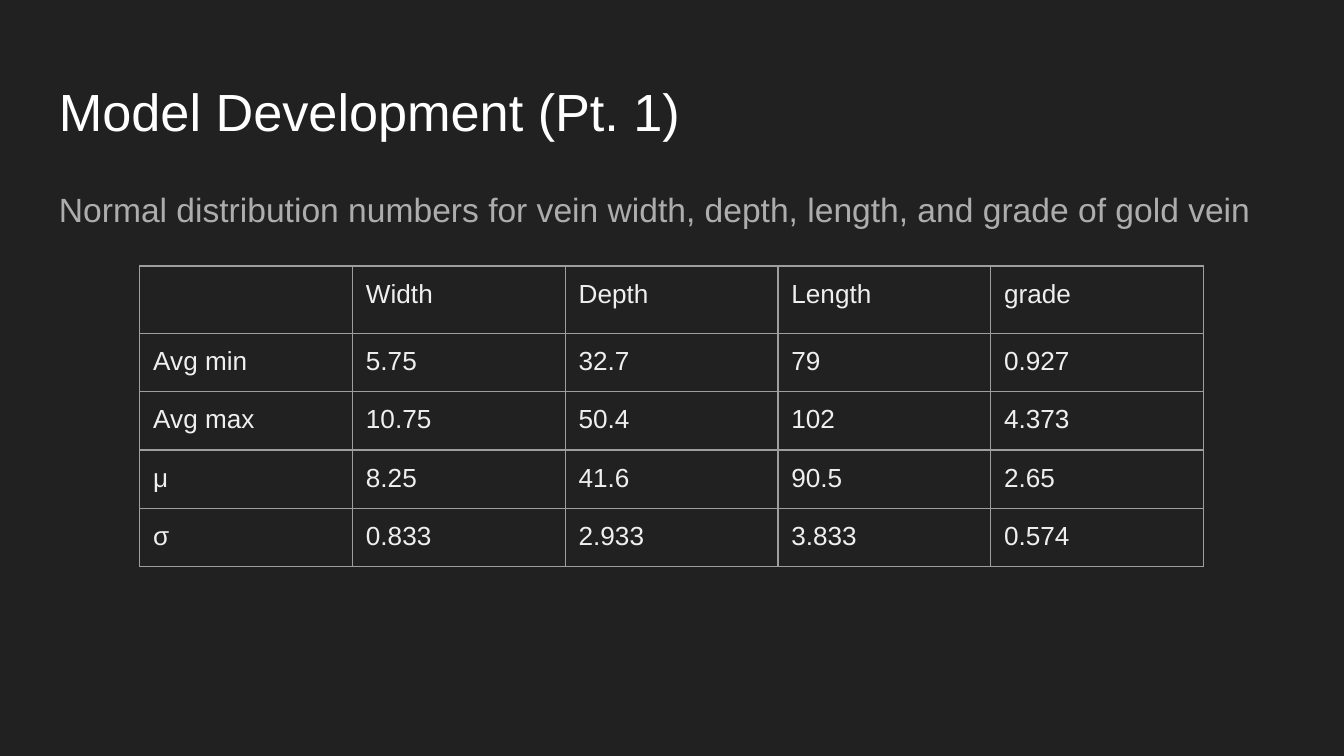
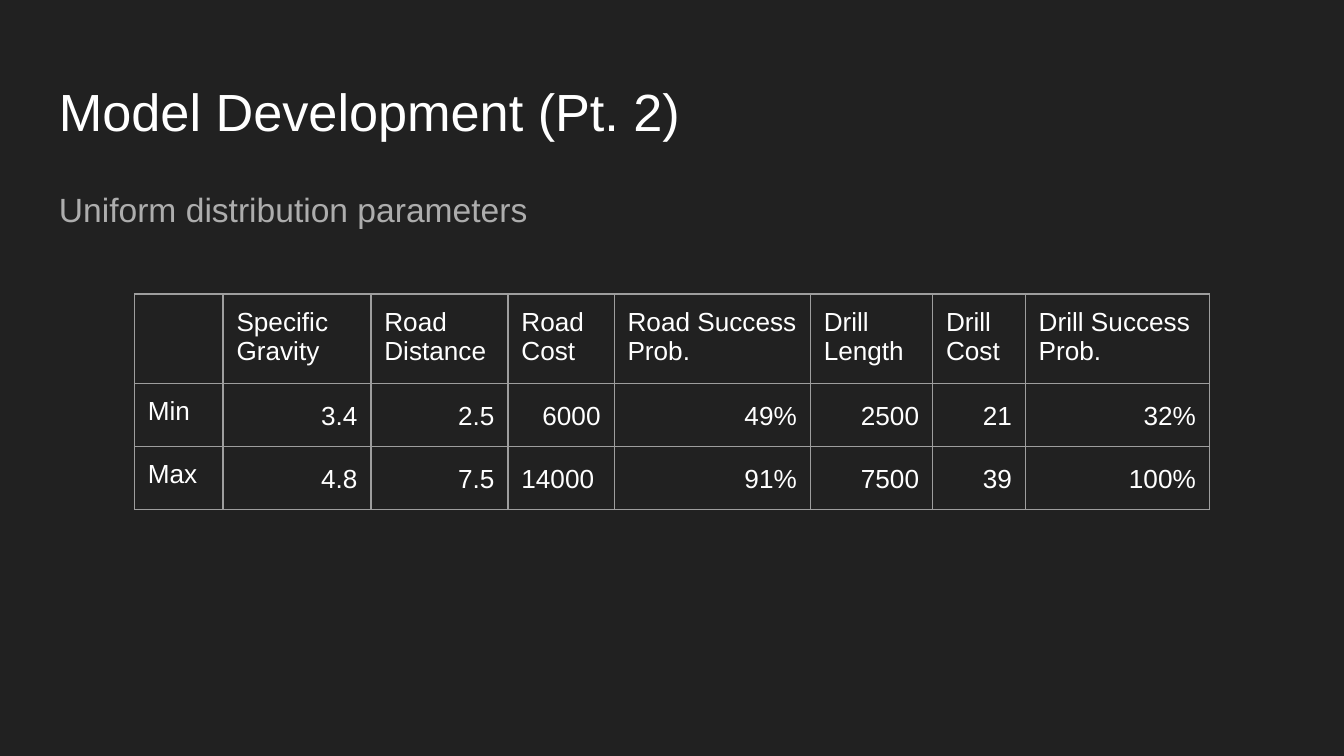
from dataclasses import dataclass

from lxml import etree
from pptx import Presentation
from pptx.dml.color import RGBColor
from pptx.enum.text import MSO_ANCHOR, PP_ALIGN
from pptx.oxml.ns import qn
from pptx.util import Inches, Pt

LEFT, RIGHT = PP_ALIGN.LEFT, PP_ALIGN.RIGHT
TOP = MSO_ANCHOR.TOP

FONT = "Arial"
COLORS = {
    "background": "212121",
    "title": "FFFFFF",
    "body": "ADADAD",
    "soft_white": "EFEFEF",
    "white": "FFFFFF",
    "border": "9E9E9E",
}
INSET = Inches(0.1)
BORDER_WIDTH = Pt(0.75)
LOOSE = 1.15  # line spacing of body text and aligned figures

# Positions are percentages of the slide's width and height
MARGIN = 3.4
ROW_HEIGHT = 7.47

deck = Presentation()
deck.slide_width, deck.slide_height = Inches(10), Inches(5.625)


def across(percent: float) -> int:
    return round(deck.slide_width * percent / 100)


def down(percent: float) -> int:
    return round(deck.slide_height * percent / 100)


@dataclass(frozen=True)
class TextStyle:
    size: float
    color: str
    align: PP_ALIGN = LEFT
    spacing: float = 1.0
    space_after: float = 0


@dataclass(frozen=True)
class TextArea:
    top: float
    height: float
    style: TextStyle


@dataclass(frozen=True)
class DataTable:
    left: float
    top: float
    columns: list[float]
    rows: list[list[str]]
    color: str
    figures_right: bool = False
    left_figures: tuple[str, ...] = ()


@dataclass(frozen=True)
class Topic:
    title: str
    subtitle: str
    data: DataTable


TITLE = TextArea(8.7, 11.2, TextStyle(28, "title"))
BODY = TextArea(22.4, 66.5, TextStyle(18, "body", spacing=LOOSE, space_after=16))


def write(holder, text: str, style: TextStyle) -> None:
    """Fill a shape or a table cell with one styled paragraph."""
    holder.text_frame.text = text
    para = holder.text_frame.paragraphs[0]
    para.alignment = style.align
    para.line_spacing = style.spacing
    para.space_after = Pt(style.space_after)
    for span in para.runs:
        span.font.name = FONT
        span.font.size = Pt(style.size)
        span.font.color.rgb = RGBColor.from_string(COLORS[style.color])


def set_insets(holder) -> None:
    holder.margin_left = holder.margin_right = INSET
    holder.margin_top = holder.margin_bottom = INSET
    holder.vertical_anchor = TOP


def add_text(page, area: TextArea, text: str) -> None:
    box = page.shapes.add_textbox(
        across(MARGIN), down(area.top), across(100 - 2 * MARGIN), down(area.height)
    )
    box.text_frame.word_wrap = True
    set_insets(box.text_frame)
    write(box, text, area.style)


def add_borders(cell) -> None:
    properties = cell._tc.get_or_add_tcPr()
    for side in ("lnL", "lnR", "lnT", "lnB"):
        line = etree.SubElement(properties, qn(f"a:{side}"), w=str(BORDER_WIDTH))
        fill = etree.SubElement(line, qn("a:solidFill"))
        etree.SubElement(fill, qn("a:srgbClr"), val=COLORS["border"])


def add_data_table(page, data: DataTable) -> None:
    table = page.shapes.add_table(
        len(data.rows), len(data.columns), across(data.left), down(data.top),
        across(sum(data.columns)), down(ROW_HEIGHT * len(data.rows)),
    ).table
    table.first_row = table.horz_banding = False
    for column, width in zip(table.columns, data.columns):
        column.width = across(width)
    for row in table.rows:
        row.height = down(ROW_HEIGHT)

    label = TextStyle(14, data.color)
    for r, values in enumerate(data.rows):
        for c, value in enumerate(values):
            cell = table.cell(r, c)
            set_insets(cell)
            add_borders(cell)
            cell.fill.background()
            style = label
            if data.figures_right and r and c:
                align = LEFT if value in data.left_figures else RIGHT
                style = TextStyle(14, data.color, align, LOOSE)
            write(cell, value, style)


def add_topic(topic: Topic) -> None:
    page = deck.slides.add_slide(deck.slide_layouts[6])
    page.background.fill.solid()
    page.background.fill.fore_color.rgb = RGBColor.from_string(COLORS["background"])
    add_text(page, TITLE, topic.title)
    add_text(page, BODY, topic.subtitle)
    add_data_table(page, topic.data)


TOPICS = [
    Topic(
        "Model Development (Pt. 1)",
        "Normal distribution numbers for vein width, depth, length, and grade of gold vein",
        DataTable(
            left=10.4,
            top=35.2,
            columns=[15.83] * 5,
            rows=[
                ["", "Width", "Depth", "Length", "grade"],
                ["Avg min", "5.75", "32.7", "79", "0.927"],
                ["Avg max", "10.75", "50.4", "102", "4.373"],
                ["μ", "8.25", "41.6", "90.5", "2.65"],
                ["σ", "0.833", "2.933", "3.833", "0.574"],
            ],
            color="soft_white",
        ),
    ),
    Topic(
        "Model Development (Pt. 2)",
        "Uniform distribution parameters",
        DataTable(
            left=10,
            top=38.9,
            columns=[6.6, 11, 10.2, 7.9, 14.6, 9.1, 6.9, 13.7],
            rows=[
                ["", "Specific Gravity", "Road Distance", "Road Cost",
                 "Road Success Prob.", "Drill Length", "Drill Cost",
                 "Drill Success Prob."],
                ["Min", "3.4", "2.5", "6000", "49%", "2500", "21", "32%"],
                ["Max", "4.8", "7.5", "14000", "91%", "7500", "39", "100%"],
            ],
            color="white",
            figures_right=True,
            left_figures=("14000",),
        ),
    ),
]

for topic in TOPICS:
    add_topic(topic)

deck.save("out.pptx")
